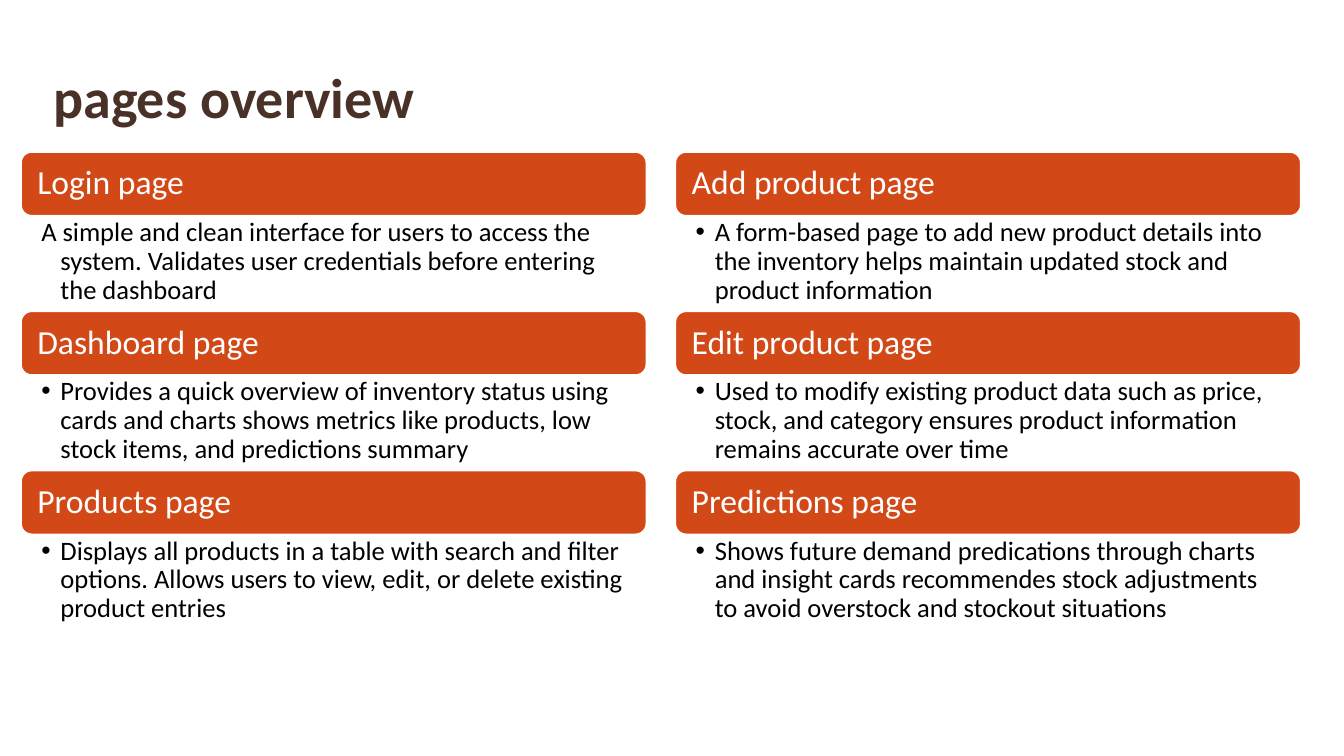
from dataclasses import dataclass

from lxml.etree import SubElement
from pptx import Presentation
from pptx.dml.color import RGBColor
from pptx.enum.shapes import MSO_SHAPE
from pptx.enum.text import MSO_ANCHOR, MSO_AUTO_SIZE, PP_ALIGN
from pptx.oxml.ns import qn
from pptx.util import Inches, Pt

# Content: one list per column of (heading, description, bulleted)
TITLE = "pages overview"
COLUMNS = [
    [
        ("Login page",
         "A simple and clean interface for users to access the system. "
         "Validates user credentials before entering the dashboard", False),
        ("Dashboard page",
         "Provides a quick overview of inventory status using cards and charts "
         "shows metrics like products, low stock items, and predictions summary", True),
        ("Products page",
         "Displays all products in a table with search and filter options. "
         "Allows users to view, edit, or delete existing product entries", True),
    ],
    [
        ("Add product page",
         "A form-based page to add new product details into the inventory "
         "helps maintain updated stock and product information", True),
        ("Edit product page",
         "Used to modify existing product data such as price, stock, and category "
         "ensures product information remains accurate over time", True),
        ("Predictions page",
         "Shows future demand predications through charts and insight cards "
         "recommendes stock adjustments to avoid overstock and stockout situations", True),
    ],
]


@dataclass(frozen=True)
class Theme:
    font: str = "Calibri"
    title_color: str = "4A3128"
    bar_color: str = "D34817"
    light: str = "FFFFFF"
    dark: str = "000000"
    title_size: int = 40
    heading_size: int = 24
    body_size: int = 19


THEME = Theme()

# Grid, in inches
GRID_LEFT, GRID_TOP = 0.21, 1.51
COLUMN_STEP, ROW_STEP = 6.49, 1.58
COLUMN_WIDTH, BAR_HEIGHT, BODY_HEIGHT = 6.2, 0.63, 0.95
BODY_INDENT = 0.19


def write(shape, text, size, color, insets, anchor, spacing=0.9, bold=False):
    """Fill a shape with one left-aligned paragraph and return it."""
    frame = shape.text_frame
    frame.word_wrap = True
    frame.auto_size = MSO_AUTO_SIZE.NONE
    frame.vertical_anchor = anchor
    (frame.margin_left, frame.margin_top,
     frame.margin_right, frame.margin_bottom) = map(Inches, insets)
    para = frame.paragraphs[0]
    para.text = text
    para.alignment = PP_ALIGN.LEFT
    para.line_spacing = spacing
    font = para.font
    font.name, font.size, font.bold = THEME.font, Pt(size), bold
    font.color.rgb = RGBColor.from_string(color)
    return para


def hang(para, bulleted):
    """Give a paragraph a hanging indent, with or without a bullet."""
    properties = para._p.get_or_add_pPr()
    properties.set("marL", str(Inches(BODY_INDENT)))
    properties.set("indent", str(-Inches(BODY_INDENT)))
    if bulleted:
        SubElement(properties, qn("a:buFont")).set("typeface", "Arial")
        SubElement(properties, qn("a:buChar")).set("char", "•")
        # The schema wants run defaults after the bullet
        properties.append(properties.find(qn("a:defRPr")))


def add_entry(page, left, top, heading, description, bulleted):
    # Heading bar
    bar = page.shapes.add_shape(
        MSO_SHAPE.ROUNDED_RECTANGLE, Inches(left), Inches(top),
        Inches(COLUMN_WIDTH), Inches(BAR_HEIGHT))
    bar.shadow.inherit = False
    bar.fill.solid()
    bar.fill.fore_color.rgb = RGBColor.from_string(THEME.bar_color)
    bar.line.color.rgb = RGBColor.from_string(THEME.light)
    bar.line.width = Pt(1)
    write(bar, heading, THEME.heading_size, THEME.light,
          (0.13, 0.1, 0.13, 0.1), MSO_ANCHOR.MIDDLE)

    # Description below the bar
    body = page.shapes.add_textbox(
        Inches(left), Inches(top + BAR_HEIGHT),
        Inches(COLUMN_WIDTH), Inches(BODY_HEIGHT))
    para = write(body, description, THEME.body_size, THEME.dark,
                 (0.2, 0.03, 0.19, 0.03), MSO_ANCHOR.TOP)
    hang(para, bulleted)


def main():
    deck = Presentation()
    deck.slide_width, deck.slide_height = Inches(13.33), Inches(7.5)
    page = deck.slides.add_slide(deck.slide_layouts[5])

    # Title
    title = page.shapes.title
    title.left, title.top = Inches(0.43), Inches(0.38)
    title.width, title.height = Inches(11.04), Inches(1.26)
    write(title, TITLE, THEME.title_size, THEME.title_color,
          (0.1, 0.05, 0.1, 0.05), MSO_ANCHOR.MIDDLE, Pt(40), True)

    # Two columns of page descriptions
    for column, entries in enumerate(COLUMNS):
        for row, entry in enumerate(entries):
            add_entry(page, GRID_LEFT + column * COLUMN_STEP,
                      GRID_TOP + row * ROW_STEP, *entry)

    deck.save("out.pptx")


if __name__ == "__main__":
    main()
